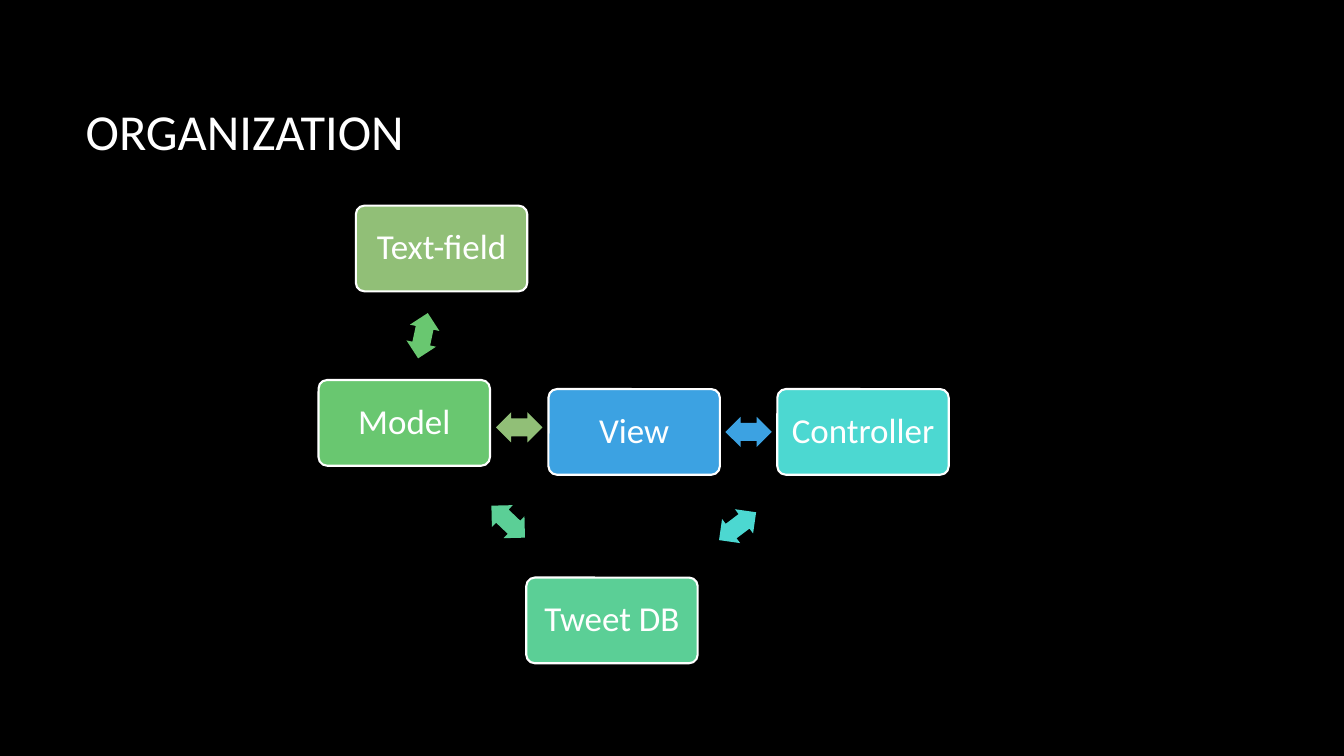
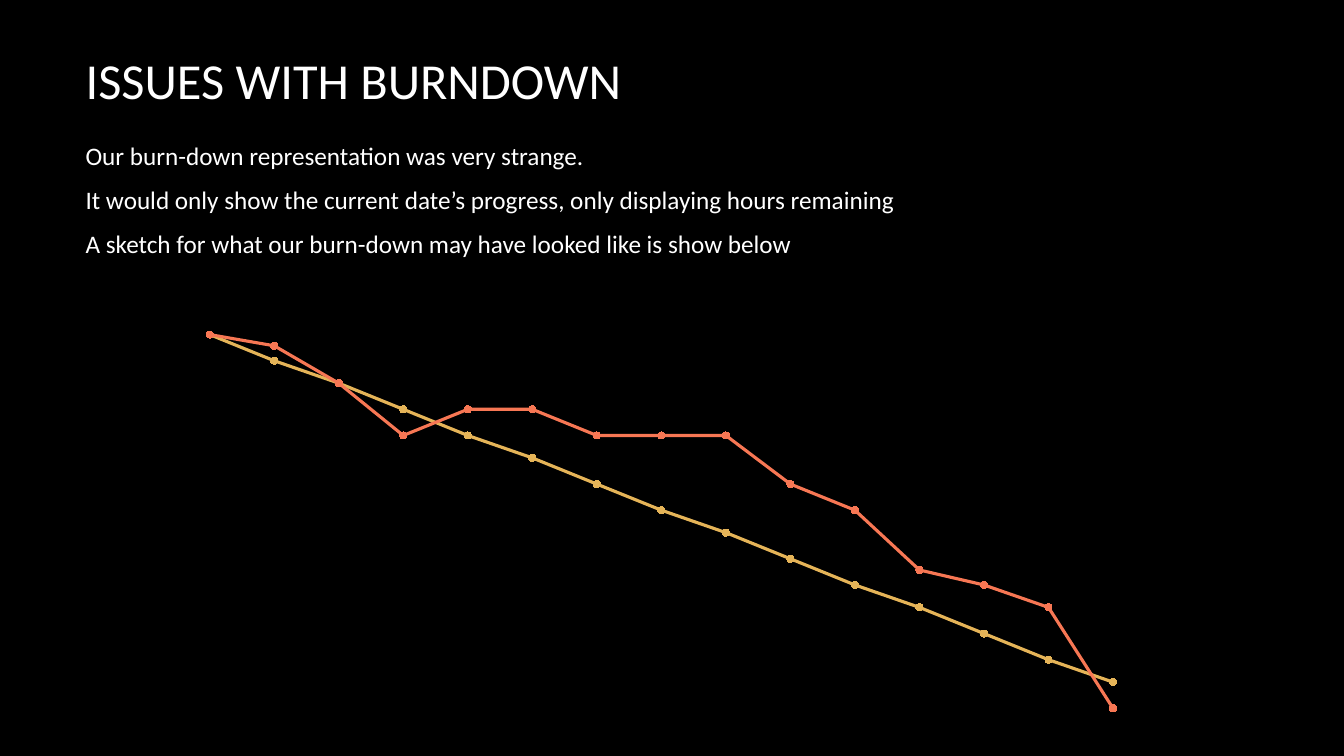
from math import atan2, degrees

from pptx import Presentation
from pptx.chart.data import CategoryChartData
from pptx.dml.color import RGBColor
from pptx.enum.chart import XL_CHART_TYPE, XL_MARKER_STYLE
from pptx.enum.shapes import MSO_SHAPE
from pptx.enum.text import MSO_ANCHOR, MSO_AUTO_SIZE, PP_ALIGN
from pptx.oxml import parse_xml
from pptx.oxml.ns import nsdecls
from pptx.util import Inches, Pt

BLACK = RGBColor(0x00, 0x00, 0x00)
WHITE = RGBColor(0xFF, 0xFF, 0xFF)
BLUE = RGBColor(0x3C, 0xA2, 0xE2)
TURQUOISE = RGBColor(0x4C, 0xD8, 0xD1)
MINT = RGBColor(0x5B, 0xCF, 0x96)
GREEN = RGBColor(0x69, 0xC7, 0x70)
OLIVE = RGBColor(0x91, 0xBF, 0x77)
AMBER = RGBColor(0xE5, 0xB4, 0x58)
CORAL = RGBColor(0xF7, 0x77, 0x54)
PINK = RGBColor(0xD8, 0x50, 0x7E)

FONT = "Calibri"
MARGIN, CONTENT_WIDTH = 0.75, 11.08
TITLE_HEIGHT = 1.59
NODE_WIDTH, NODE_HEIGHT = 1.7, 0.85
ARROW_LENGTH, ARROW_HEIGHT = 0.46, 0.3

# Name: (left, top, colour)
NODES = {
    "View": (5.44, 3.86, BLUE),
    "Controller": (7.71, 3.86, TURQUOISE),
    "Tweet DB": (5.22, 5.73, MINT),
    "Model": (3.16, 3.77, GREEN),
    "Text-field": (3.53, 2.04, OLIVE),
}
# Start, end, colour, whether the arrow follows the slope between the nodes
LINKS = [
    ("View", "Controller", BLUE, True),
    ("Controller", "Tweet DB", TURQUOISE, True),
    ("Tweet DB", "Model", MINT, True),
    ("Model", "Text-field", GREEN, True),
    ("Model", "View", OLIVE, False),
]
BURNDOWN_NOTES = [
    "Our burn-down representation was very strange.",
    "It would only show the current date’s progress, only displaying hours remaining",
    "A sketch for what our burn-down may have looked like is show below",
]
BURNDOWN_CATEGORIES = ["1", "2", "3", "4"]
BURNDOWN_SERIES = [
    ("Series 1", AMBER, [100, 93, 87, 80, 73, 67, 60, 53, 47, 40, 33, 27, 20, 13, 7]),
    ("Series 2", CORAL, [100, 97, 87, 73, 80, 80, 73, 73, 73, 60, 53, 37, 33, 27, 0]),
    ("Series 3", PINK, [None] * 15),
]


def inches(*lengths):
    return [Inches(length) for length in lengths]


def write(shape, *lines, size, align=PP_ALIGN.LEFT, anchor=MSO_ANCHOR.MIDDLE,
          line_spacing=1.0, space_after=0, inset=0.1):
    frame = shape.text_frame
    frame.word_wrap = True
    frame.auto_size = MSO_AUTO_SIZE.NONE
    frame.vertical_anchor = anchor
    frame.margin_left = frame.margin_right = Inches(inset)
    frame.text = "\n".join(lines)
    for para in frame.paragraphs:
        para.alignment = align
        para.line_spacing = line_spacing
        para.space_after = Pt(space_after)
        para.font.name = FONT
        para.font.size = Pt(size)
        para.font.color.rgb = WHITE


def add_page(deck, title, title_top):
    page = deck.slides.add_slide(deck.slide_layouts.get_by_name("Title Only"))
    box = page.shapes.title
    box.left, box.top, box.width, box.height = inches(
        MARGIN, title_top, CONTENT_WIDTH, TITLE_HEIGHT)
    write(box, title, size=36)
    return page


def add_filled_shape(page, preset, place, fill, adjustments):
    shape = page.shapes.add_shape(preset, *inches(*place))
    shape.shadow.inherit = False
    shape.fill.solid()
    shape.fill.fore_color.rgb = fill
    shape.line.fill.background()
    for index, value in enumerate(adjustments):
        shape.adjustments[index] = value
    return shape


def add_node(page, name):
    left, top, color = NODES[name]
    node = add_filled_shape(page, MSO_SHAPE.ROUNDED_RECTANGLE,
                            (left, top, NODE_WIDTH, NODE_HEIGHT), color, [0.1])
    node.line.color.rgb = WHITE
    node.line.width = Pt(1.5)
    write(node, name, size=25, align=PP_ALIGN.CENTER, line_spacing=0.9, inset=0.05)


def add_link(page, start, end, color, sloped):
    """Centre a double arrow halfway between two nodes."""
    start_left, start_top, _ = NODES[start]
    end_left, end_top, _ = NODES[end]
    center_x = (start_left + end_left + NODE_WIDTH) / 2
    center_y = (start_top + end_top + NODE_HEIGHT) / 2
    place = (center_x - ARROW_LENGTH / 2, center_y - ARROW_HEIGHT / 2,
             ARROW_LENGTH, ARROW_HEIGHT)
    arrow = add_filled_shape(page, MSO_SHAPE.LEFT_RIGHT_ARROW, place, color, [0.6, 0.5])
    if sloped:
        arrow.rotation = degrees(atan2(end_top - start_top, end_left - start_left))


def set_plot_area(chart, **shares):
    """Fix the inner plot area as shares (x, y, w, h) of the chart."""
    plot_area = chart.element.xpath("c:chart/c:plotArea")[0]
    for layout in plot_area.xpath("c:layout"):
        plot_area.remove(layout)
    modes = '<c:xMode val="edge"/><c:yMode val="edge"/>'
    sizes = "".join(f'<c:{key} val="{share}"/>' for key, share in shares.items())
    plot_area.insert(0, parse_xml(
        f'<c:layout {nsdecls("c")}><c:manualLayout><c:layoutTarget val="inner"/>'
        f"{modes}{sizes}</c:manualLayout></c:layout>"))


def add_burndown_chart(page, place):
    data = CategoryChartData()
    data.categories = BURNDOWN_CATEGORIES
    for name, _, values in BURNDOWN_SERIES:
        data.add_series(name, values)
    chart = page.shapes.add_chart(XL_CHART_TYPE.LINE_MARKERS, *inches(*place), data).chart
    chart.has_legend = chart.has_title = False
    chart.font.name = FONT
    chart.font.size = Pt(10)
    chart.font.color.rgb = WHITE
    for axis in (chart.category_axis, chart.value_axis):
        axis.has_major_gridlines = False
        axis.visible = False
    chart.value_axis.minimum_scale = 0
    chart.value_axis.maximum_scale = 100
    chart.plots[0].vary_by_categories = False
    for series, (_, color, _) in zip(chart.plots[0].series, BURNDOWN_SERIES):
        series.smooth = False
        series.format.line.color.rgb = color
        series.format.line.width = Pt(2.25)
        series.marker.style = XL_MARKER_STYLE.CIRCLE
        series.marker.size = 5
        series.marker.format.fill.solid()
        series.marker.format.fill.fore_color.rgb = color
        series.marker.format.line.color.rgb = color
    set_plot_area(chart, x=0.02, y=0.08, w=0.96, h=0.9)


def build_organization(deck):
    page = add_page(deck, "ORGANIZATION", 0.5)
    for name in NODES:
        add_node(page, name)
    for link in LINKS:
        add_link(page, *link)


def build_burndown(deck):
    page = add_page(deck, "ISSUES WITH BURNDOWN", -0.01)
    notes = page.shapes.add_textbox(*inches(MARGIN, 1.34, CONTENT_WIDTH, 1.6))
    write(notes, *BURNDOWN_NOTES, size=18, anchor=MSO_ANCHOR.TOP, space_after=10)
    add_burndown_chart(page, (1.56, 2.99, 10, 4.12))


def main():
    deck = Presentation()
    deck.slide_width, deck.slide_height = inches(13.33, 7.5)
    background = deck.slide_master.background.fill
    background.solid()
    background.fore_color.rgb = BLACK
    build_organization(deck)
    build_burndown(deck)
    deck.save("out.pptx")


if __name__ == "__main__":
    main()
